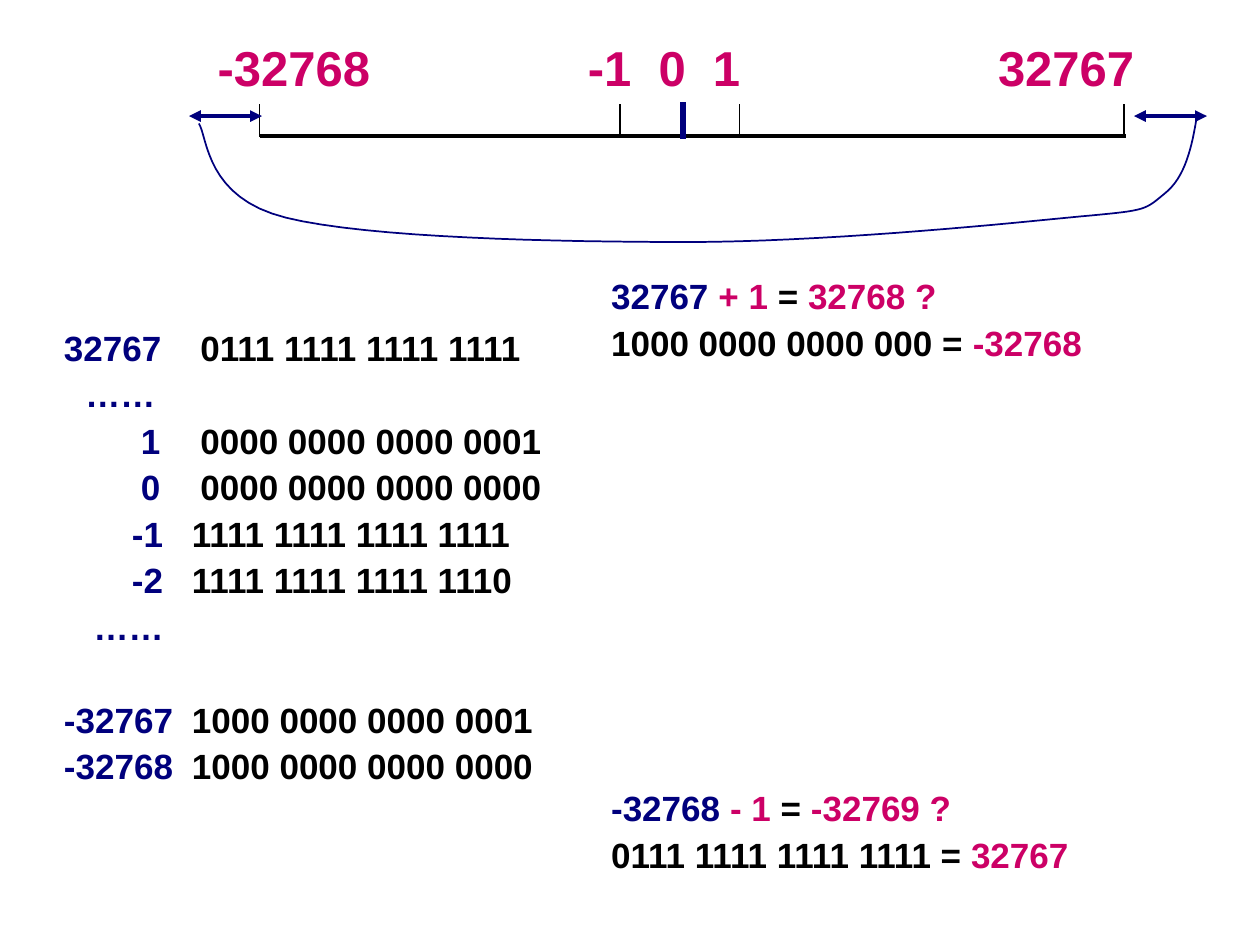
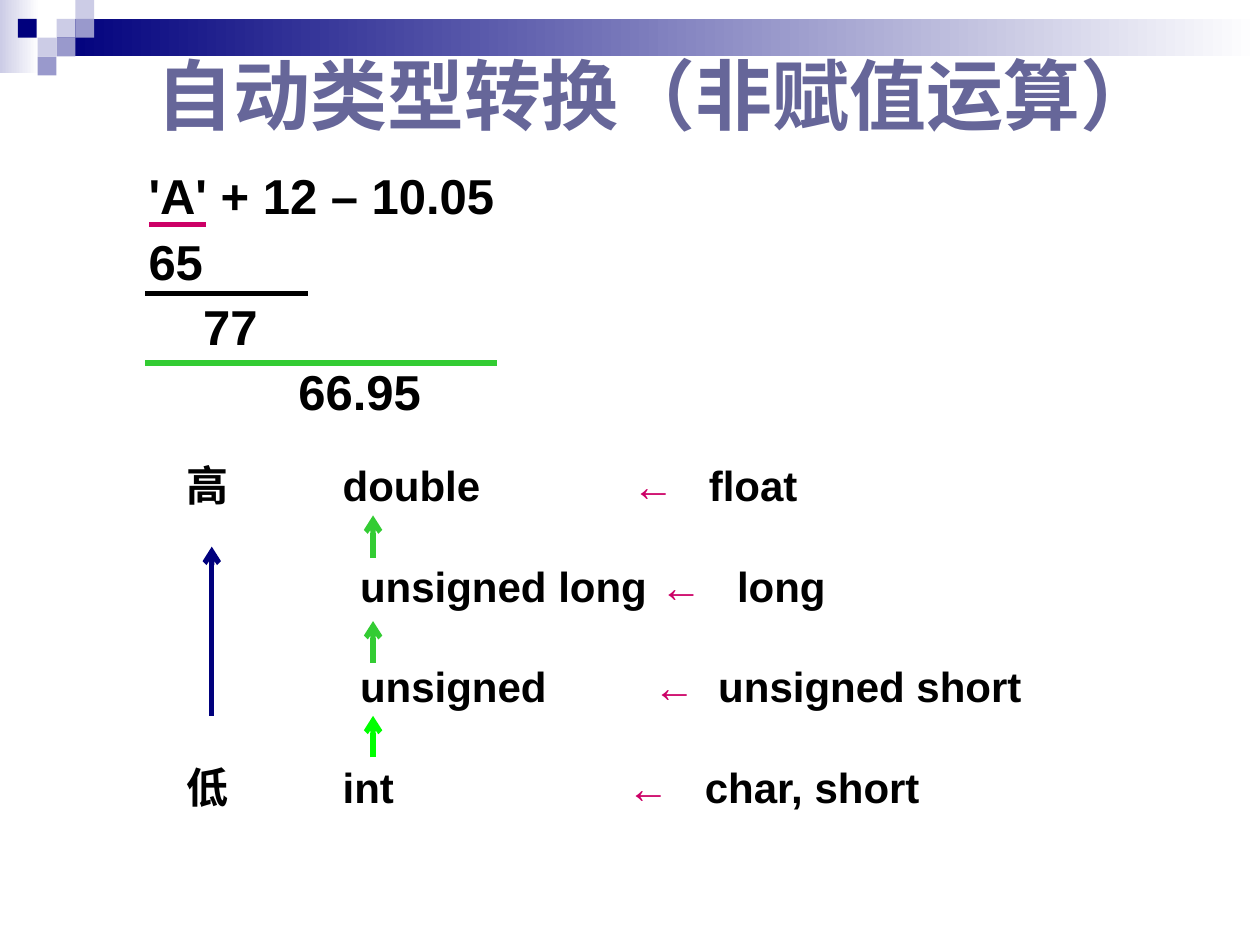
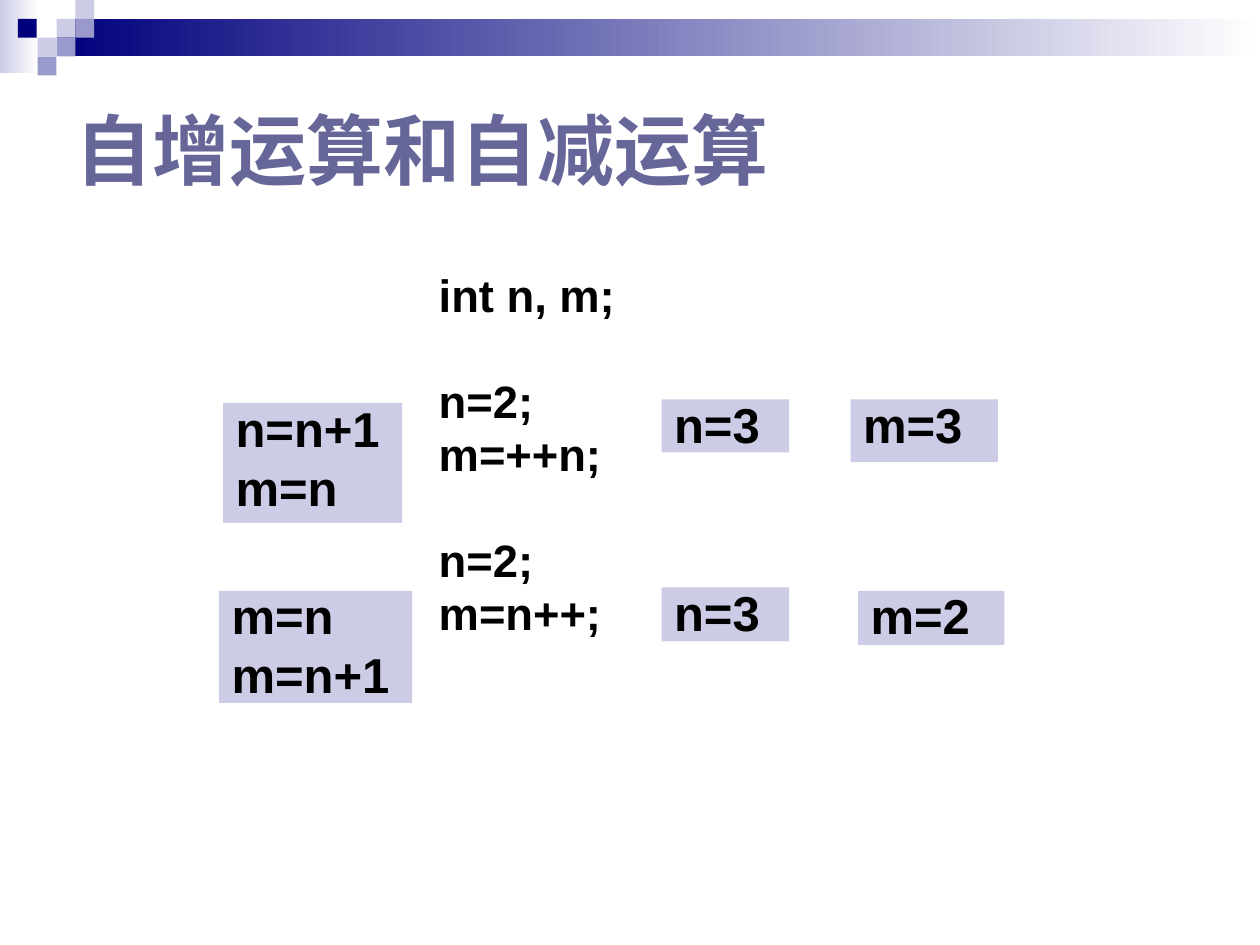
from lxml import etree
from pptx import Presentation
from pptx import util as u
from pptx.dml.color import RGBColor
from pptx.enum import shapes, text
from pptx.oxml import ns

theme = {
    "font": "Arial",
    "ink": {
        "navy": "00007D", "pink": "CC0066", "black": "000000", "green": "33CC33",
        "lime": "00FF00", "slate": "666699", "pale": "CCCCE6", "mid": "9999CC",
        "white": "FFFFFF",
    },
    "size": {"title": 44, "body": 28, "code": 25.9, "table": 24, "list": 20},
    "frame": {"word_wrap": True, "auto_size": text.MSO_AUTO_SIZE.NONE, "margin_right": 0},
}
ink = {name: RGBColor.from_string(code) for name, code in theme["ink"].items()}
size = theme["size"]


def write(shape, rows, **base):
    frame = shape.text_frame
    for key, val in theme["frame"].items():
        setattr(frame, key, val)
    frame.vertical_anchor = base.get("anchor", text.MSO_ANCHOR.TOP)
    for num, row in enumerate(rows):
        form = {"left": 0, "gap": 0, "lead": 1.0, "color": "black"} | base | row
        para = frame.add_paragraph() if num else frame.paragraphs[0]
        look = {"alignment": text.PP_ALIGN.LEFT, "line_spacing": form["lead"],
                "space_before": u.Pt(form["gap"])}
        for key, val in look.items():
            setattr(para, key, val)
        props = para._p.get_or_add_pPr()
        props.set("marL", str(u.Cm(form["left"])))
        props.set("indent", "0")
        etree.SubElement(props, ns.qn("a:buNone"))
        for words, color in form["parts"]:
            run = para.add_run()
            run.text = words
            run.font.color.rgb = ink[color or form["color"]]
            for key, val in {"name": theme["font"], "size": u.Pt(form["size"]), "bold": True}.items():
                setattr(run.font, key, val)


def draw(slide, ends, color, width, **heads):
    line = slide.shapes.add_connector(shapes.MSO_CONNECTOR.STRAIGHT, *map(u.Cm, ends))
    line.line.color.rgb = ink[color]
    line.line.width = u.Pt(width)
    edge = line.line._get_or_add_ln()
    edge.set("cap", "flat" if heads else "sq")
    for tag, kind in heads.items():
        etree.SubElement(edge, ns.qn("a:" + tag), type=kind)
    etree.SubElement(line._element.spPr, ns.qn("a:effectLst"))


deck = Presentation()
deck.slide_width, deck.slide_height = u.Cm(25.4), u.Cm(19.05)
range_page, cast_page, step_page = [
    deck.slides.add_slide(deck.slide_layouts[kind]) for kind in (6, 1, 1)]

places = [
    (cast_page.shapes.title, (2.9, 0.71, 22.2, 2.34)),
    (cast_page.placeholders[1], (1.47, 3.35, 10.21, 5.56)),
    (step_page.shapes.title, (1.27, 1.27, 19.63, 3.45)),
    (step_page.placeholders[1], (7.09, 5.51, 5.61, 8.05)),
]
for holder, spot in places:
    for key, val in zip(("left", "top", "width", "height"), spot):
        setattr(holder, key, u.Cm(val))

cell, start = 0.38, 0.76
bands = [
    ((0, 0, 0.79, 1.47), "pale", True),
    ((1.14, 0.38, 24.26, 0.76), "navy", True),
    ((0.36, 0.38, cell, cell), "navy", False),
]
for col, row, color in [(1, 1, "pale"), (2, 0, "pale"), (2, 1, "mid"),
                        (0, 2, "pale"), (1, 2, "mid"), (0, 3, "mid")]:
    bands.append(((start + col * cell, row * cell, cell, cell), color, False))

for page, name in [(cast_page, "自动类型转换（非赋值运算）"), (step_page, "自增运算和自减运算")]:
    for spot, color, fade in bands:
        band = page.shapes.add_shape(shapes.MSO_SHAPE.RECTANGLE, *map(u.Cm, spot))
        band.shadow.inherit = False
        band.line.fill.background()
        if fade:
            band.fill.gradient()
            band.fill.gradient_angle = 0
            for stop, tone in zip(band.fill.gradient_stops, (color, "white")):
                stop.color.rgb = ink[tone]
        else:
            band.fill.solid()
            band.fill.fore_color.rgb = ink[color]
    write(page.shapes.title, [{"parts": [(name, "slate")]}], size=size["title"],
          anchor=text.MSO_ANCHOR.MIDDLE)

draw(range_page, (5.28, 2.74, 22.66, 2.74), "black", 2.25)
ticks = [
    (5.23, "black", 1, "-32768", 4.14),
    (12.5, "black", 1, "-1", 11.6),
    (13.77, "navy", 3, "0", 13.03),
    (14.91, "black", 1, "1", 14.12),
    (22.66, "black", 1, "32767", 19.87),
]
for x, color, width, value, left in ticks:
    draw(range_page, (x, 2.11, x, 2.74), color, width)
    box = range_page.shapes.add_textbox(*map(u.Cm, (left, 0.64, 3.8, 1.47)))
    write(box, [{"parts": [(value, "pink")]}], size=size["body"], gap=5)
for x in (3.81, 22.86):
    draw(range_page, (x, 2.34, x + 1.47, 2.34), "navy", 2.25,
         headEnd="triangle", tailEnd="triangle")

bends = [
    ((24.03, 2.95), (23.9, 3.58), (23.47, 3.91)),
    ((23.04, 4.27), (23.11, 4.24), (21.51, 4.39)),
    ((19.91, 4.55), (16.48, 4.88), (13.87, 4.88)),
    ((11.23, 4.88), (7.42, 4.8), (5.77, 4.39)),
    ((4.14, 3.99), (4.19, 2.77), (4.01, 2.49)),
]
last, dots, steps = (24.13, 2.34), [], 16
loop = range_page.shapes.build_freeform(*map(u.Cm, last))
for one, two, end in bends:
    for step in range(1, steps + 1):
        t = step / steps
        s = 1 - t
        dots.append([u.Cm(s**3 * a + 3 * s * s * t * b + 3 * s * t * t * c + t**3 * d)
                     for a, b, c, d in zip(last, one, two, end)])
    last = end
loop.add_line_segments(dots, close=False)
curve = loop.convert_to_shape()
curve.shadow.inherit = False
curve.fill.background()
curve.line.color.rgb = ink["navy"]
curve.line.width = u.Pt(1)

codes = {
    "navy": [(0, "32767", 0.4), (1, "……", 0.83), (2, "1", 1.95), (3, "0", 1.95),
             (4, "-1", 1.77), (5, "-2", 1.77), (6, "……", 1.0),
             (8, "-32767", 0.4), (9, "-32768", 0.4)],
    "black": [(0, "0111 1111 1111 1111", 3.15), (2, "0000 0000 0000 0001", 3.15),
              (3, "0000 0000 0000 0000", 3.15), (4, "1111 1111 1111 1111", 2.98),
              (5, "1111 1111 1111 1110", 2.98), (8, "1000 0000 0000 0001", 2.98),
              (9, "1000 0000 0000 0000", 2.98)],
}
casts = [
    ("black", [(0, "高", 0), (3, "低", 0)]),
    ("black", [(0, "double", 3.15), (1, "unsigned long", 3.5), (2, "unsigned", 3.5),
               (3, "int", 3.15)]),
    ("pink", [(0, "←", 8.99), (1, "←", 9.55), (2, "←", 9.41), (3, "←", 8.89)]),
    ("black", [(0, "float", 10.53), (1, "long", 11.1), (2, "unsigned short", 10.72),
               (3, "char, short", 10.45)]),
]
grids = [
    (range_page, (0.64, 6.55, 12.07, 9.53), codes.items(), "list", 0.9, 26.5, 21.5),
    (cast_page, (3.51, 9.14, 18.85, 8.05), casts, "table", u.Pt(28.75), 57.5, 28.75),
]
for page, spot, cols, kind, lead, pitch, high in grids:
    for color, cells in cols:
        rows, prev = [], -1
        for row, words, left in cells:
            rows.append({"parts": [(words, color)], "left": left,
                         "gap": (row - prev) * pitch - high})
            prev = row
        box = page.shapes.add_textbox(*map(u.Cm, spot))
        write(box, rows, size=size[kind], lead=lead)

sums = [
    {"parts": [("32767 ", "navy"), ("+ 1 ", "pink"), ("=", "black"), (" 32768 ?", "pink")]},
    {"parts": [("1000 0000 0000 000 =", "black"), (" -32768", "pink")]},
    {"parts": [("-32768 ", "navy"), ("- 1 ", "pink"), ("=", "black"), (" -32769 ?", "pink")],
     "gap": 244.5},
    {"parts": [("0111 1111 1111 1111 =", "black"), (" 32767", "pink")]},
]
box = range_page.shapes.add_textbox(*map(u.Cm, (12.07, 5.51, 11.86, 12.27)))
write(box, sums, size=size["list"], lead=0.9, gap=5)

sums = [("'A' + 12 – 10.05", 1.27), ("65", 1.27), ("77", 2.37), ("66.95", 4.29)]
write(cast_page.placeholders[1], [{"parts": [(words, None)], "left": x} for words, x in sums],
      size=size["body"], lead=0.9, gap=7)
for x, y, end, color in [(3.05, 4.52, 4.09, "pink"), (2.97, 5.92, 6.15, "black"),
                         (2.97, 7.32, 9.96, "green")]:
    draw(cast_page, (x, y, end, y), color, 3)

for x, low, high, color in [(4.27, 14.43, 11.02, "navy"), (7.52, 11.25, 10.39, "green"),
                            (7.52, 13.36, 12.52, "green"), (7.52, 15.27, 14.43, "lime")]:
    draw(cast_page, (x, low, x, high), color, 3, tailEnd="arrow")

code = [("int n, m;", 7), ("n=2;", 37.4), ("m=++n;", 7), ("n=2;", 37.4), ("m=n++;", 7)]
write(step_page.placeholders[1], [{"parts": [(words, None)], "gap": gap} for words, gap in code],
      size=size["code"], lead=0.75, left=1.5)

notes = [
    ((13.34, 8.05, 2.57, 1.07), ["n=3"]),
    ((13.34, 11.84, 2.57, 1.09), ["n=3"]),
    ((17.15, 8.05, 2.97, 1.27), ["m=3"]),
    ((17.3, 11.91, 2.95, 1.09), ["m=2"]),
    ((4.42, 11.91, 3.89, 2.26), ["m=n", "m=n+1"]),
    ((4.5, 8.13, 3.61, 2.41), ["n=n+1", "m=n"]),
]
for spot, lines in notes:
    note = step_page.shapes.add_shape(shapes.MSO_SHAPE.RECTANGLE, *map(u.Cm, spot))
    note.shadow.inherit = False
    note.fill.solid()
    note.fill.fore_color.rgb = ink["pale"]
    note.line.fill.background()
    write(note, [{"parts": [(words, None)]} for words in lines],
          size=size["body"], lead=0.8, gap=7)

deck.save("out.pptx")
